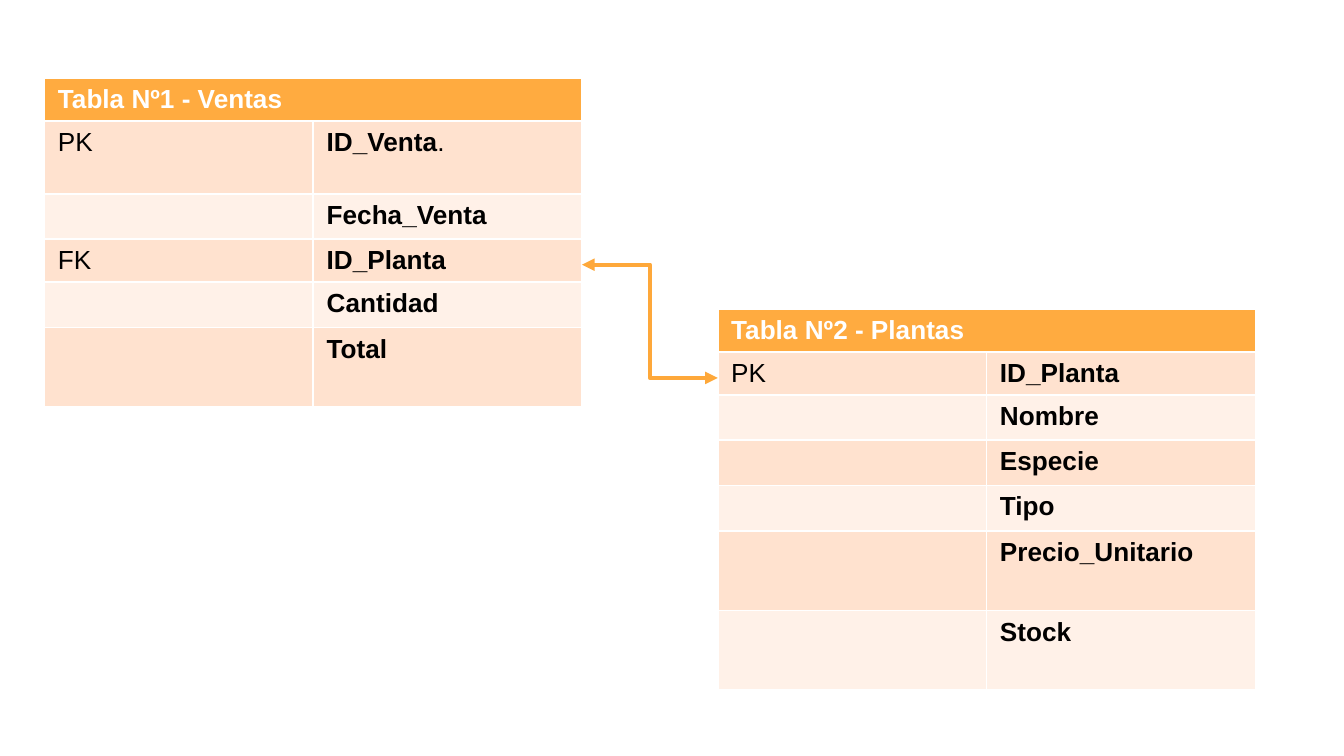
"""Draw two database tables and the key relation that joins them."""
from dataclasses import dataclass

from lxml import etree
from pptx import Presentation
from pptx.dml.color import RGBColor
from pptx.enum.shapes import MSO_CONNECTOR
from pptx.oxml.ns import qn
from pptx.util import Pt

ELBOW = MSO_CONNECTOR.ELBOW
FONT = "Arial"
TEXT_SIZE = 14
COLUMN_WIDTH = 144
HEADER_HEIGHT = 23
HEADER_FILL = "FFAB40"
BAND_FILLS = ("FFE2CF", "FFF1E8")
RELATION_COLOR = "FEA83A"
WHITE = "FFFFFF"
BLACK = "000000"


@dataclass
class Field:
    name: str
    key: str = ""
    height: float = 23
    suffix: str = ""


@dataclass
class Entity:
    title: str
    left: float
    top: float
    fields: list[Field]


ENTITIES = [
    Entity("Tabla Nº1 - Ventas", 23.8, 41.8, [
        Field("ID_Venta", "PK", 39, "."),
        Field("Fecha_Venta"),
        Field("ID_Planta", "FK"),
        Field("Cantidad", height=24.5),
        Field("Total", height=42.5),
    ]),
    Entity("Tabla Nº2 - Plantas", 384.5, 165.6, [
        Field("ID_Planta", "PK"),
        Field("Nombre"),
        Field("Especie"),
        Field("Tipo", height=24.5),
        Field("Precio_Unitario", height=42.5),
        Field("Stock", height=42.5),
    ]),
]


def rgb(color: str) -> RGBColor:
    return RGBColor.from_string(color)


def add_span(paragraph, text: str, color: str, bold: bool) -> None:
    span = paragraph.add_run()
    span.text = text
    span.font.name = FONT
    span.font.size = Pt(TEXT_SIZE)
    span.font.bold = bold
    span.font.color.rgb = rgb(color)


def fill_cell(cell, fill: str, text: str, color: str = BLACK, bold: bool = False) -> None:
    cell.fill.solid()
    cell.fill.fore_color.rgb = rgb(fill)
    paragraph = cell.text_frame.paragraphs[0]
    if text:
        add_span(paragraph, text, color, bold)
    else:
        end = etree.SubElement(paragraph._p, qn("a:endParaRPr"))
        end.set("sz", str(TEXT_SIZE * 100))


def add_entity(page, entity: Entity) -> None:
    heights = [HEADER_HEIGHT] + [field.height for field in entity.fields]
    table = page.shapes.add_table(
        len(heights), 2, Pt(entity.left), Pt(entity.top),
        Pt(2 * COLUMN_WIDTH), Pt(sum(heights))).table
    for column in table.columns:
        column.width = Pt(COLUMN_WIDTH)
    for row, height in zip(table.rows, heights):
        row.height = Pt(height)
    header = table.cell(0, 0)
    header.merge(table.cell(0, 1))
    fill_cell(header, HEADER_FILL, entity.title, WHITE, True)
    for index, field in enumerate(entity.fields):
        fill = BAND_FILLS[index % 2]
        name_cell = table.cell(index + 1, 1)
        fill_cell(table.cell(index + 1, 0), fill, field.key)
        fill_cell(name_cell, fill, field.name, bold=True)
        if field.suffix:
            add_span(name_cell.text_frame.paragraphs[0], field.suffix, BLACK, False)


def add_relation(page, start: tuple[float, float], end: tuple[float, float]) -> None:
    relation = page.shapes.add_connector(ELBOW, *map(Pt, start + end))
    relation.line.color.rgb = rgb(RELATION_COLOR)
    relation.line.width = Pt(2.25)
    properties = relation._element.spPr
    line = properties.find(qn("a:ln"))
    for tag in ("a:headEnd", "a:tailEnd"):
        etree.SubElement(line, qn(tag)).set("type", "triangle")
    etree.SubElement(properties, qn("a:effectLst"))


def main() -> None:
    deck = Presentation()
    deck.slide_width, deck.slide_height = Pt(720), Pt(405)
    page = deck.slides.add_slide(deck.slide_layouts[6])
    for entity in ENTITIES:
        add_entity(page, entity)
    sales, plants = ENTITIES
    add_relation(page, (sales.left + 2 * COLUMN_WIDTH, 141.8), (plants.left, 202.5))
    deck.save("out.pptx")


if __name__ == "__main__":
    main()
